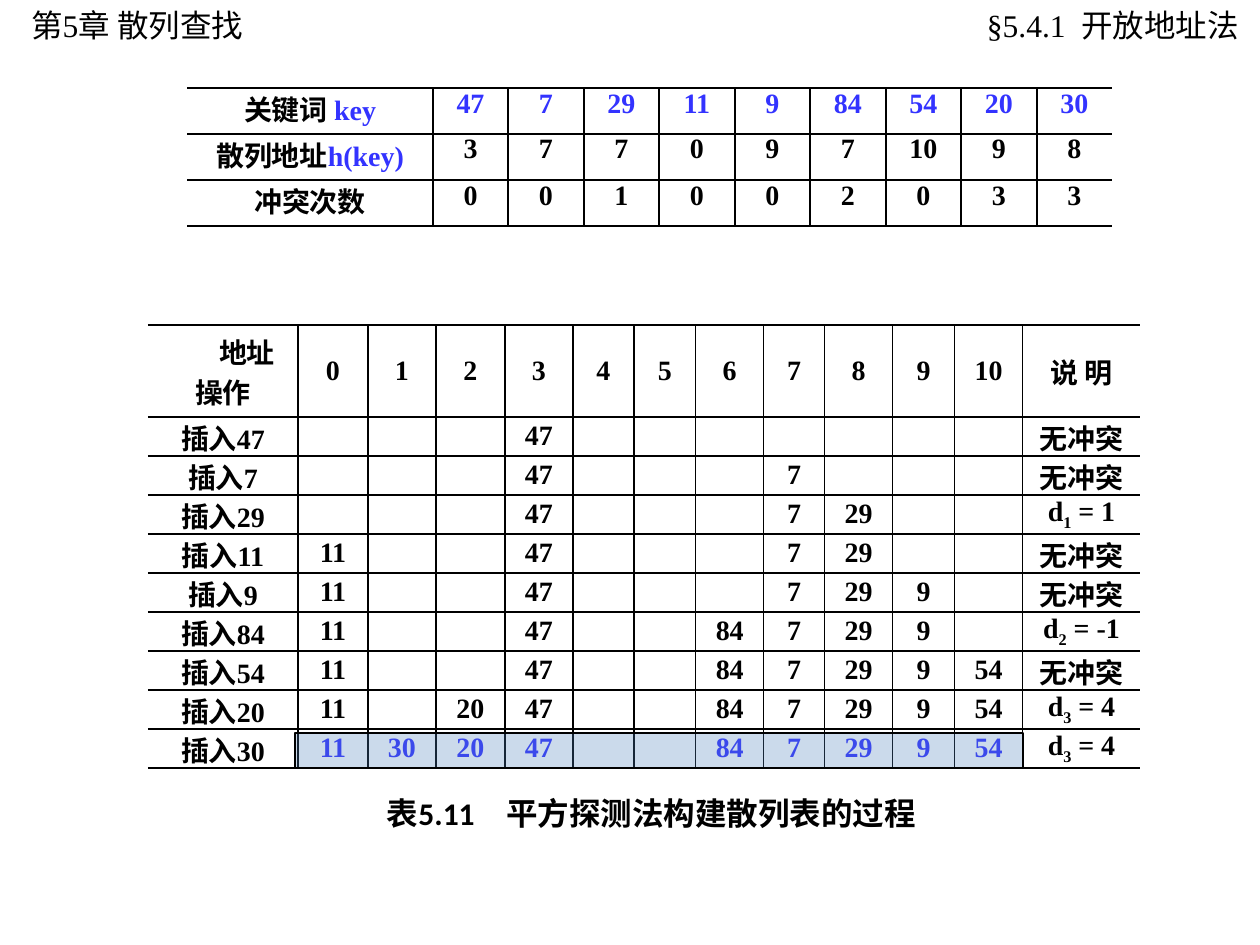
from lxml import etree
from pptx import Presentation
from pptx.dml.color import RGBColor
from pptx.enum.shapes import MSO_SHAPE
from pptx.enum.text import MSO_ANCHOR, PP_ALIGN
from pptx.oxml.ns import qn
from pptx.util import Emu, Pt

PX_PER_INCH = 126
SERIF, SANS = "Times New Roman", "Calibri"
BLACK, BLUE, STEEL = "000000", "3333FF", "4F81BD"
LEFT, CENTER, RIGHT = PP_ALIGN.LEFT, PP_ALIGN.CENTER, PP_ALIGN.RIGHT
TOP, MIDDLE = MSO_ANCHOR.TOP, MSO_ANCHOR.MIDDLE
RECTANGLE = MSO_SHAPE.RECTANGLE

KEYS = [47, 7, 29, 11, 9, 84, 54, 20, 30]
HASHES = [3, 7, 7, 0, 9, 7, 10, 9, 8]
COLLISIONS = [0, 0, 1, 0, 0, 2, 0, 3, 3]
SLOTS = [3, 7, 8, 0, 9, 6, 10, 2, 1]
# Probe used by each insertion: (subscript, offset), or None without a collision
PROBES = [None, None, (1, 1), None, None, (2, -1), None, (3, 4), (3, 4)]


def px(n):
    return Emu(round(n * 914400 / PX_PER_INCH))


def rgb(color):
    return RGBColor.from_string(color)


def add_text(p, text, size=16, font=SERIF, color=BLACK, bold=True, align=CENTER,
             subscript=False):
    p.alignment = align
    r = p.add_run()
    r.text = str(text)
    f = r.font
    f.size, f.name, f.bold = Pt(size), font, bold
    f.color.rgb = rgb(color)
    if subscript:
        r._r.get_or_add_rPr().set("baseline", "-25000")


def add_label(slide, box, text, margins=(13, 6, 13, 6), **fmt):
    tf = slide.shapes.add_textbox(*map(px, box)).text_frame
    tf.word_wrap = True
    (tf.margin_left, tf.margin_top,
     tf.margin_right, tf.margin_bottom) = map(px, margins)
    add_text(tf.paragraphs[0], text, size=18, **fmt)


def set_borders(cell, sides):
    tcPr = cell._tc.get_or_add_tcPr()
    for i, side in enumerate("LRTB"):
        ln = etree.Element(qn(f"a:ln{side}"), w=str(Pt(1)))
        if side in sides:
            fill = etree.SubElement(ln, qn("a:solidFill"))
            etree.SubElement(fill, qn("a:srgbClr"), val=BLACK)
        else:
            etree.SubElement(ln, qn("a:noFill"))
        tcPr.insert(i, ln)


def add_grid(slide, x, y, widths, heights, anchor):
    """Add an empty table with inner rules and open left and right sides."""
    frame = slide.shapes.add_table(len(heights), len(widths), px(x), px(y),
                                   px(sum(widths)), px(sum(heights)))
    table = frame.table
    table.first_row = table.horz_banding = False
    for column, width in zip(table.columns, widths):
        column.width = px(width)
    for row, height in zip(table.rows, heights):
        row.height = px(height)
        for c, cell in enumerate(row.cells):
            cell.fill.background()
            cell.vertical_anchor = anchor
            cell.margin_left = cell.margin_right = px(9)
            cell.margin_top = cell.margin_bottom = 0
            set_borders(cell, "TB" + "L" * (c > 0) + "R" * (c < len(widths) - 1))
            end = cell.text_frame.paragraphs[0]._p.get_or_add_endParaRPr()
            end.set("sz", "1600")
    return table


def fill_cell(table, row, col, *runs, **fmt):
    """Write runs, each a text or a (text, format) pair, into one cell."""
    p = table.cell(row, col).text_frame.paragraphs[0]
    for run in runs:
        text, own = run if isinstance(run, tuple) else (run, {})
        add_text(p, text, **{**fmt, **own})


def add_key_tables(slide, x, y):
    widths = [246] + [75 + i % 2 for i in range(len(KEYS))]
    height = 46
    keys = add_grid(slide, x, y, widths, [height] * 3, TOP)
    counts = add_grid(slide, x, y + 2 * height, widths, [height], TOP)
    blue = {"color": BLUE}
    fill_cell(keys, 0, 0, "关键词 ", ("key", blue))
    fill_cell(keys, 1, 0, "散列地址", ("h(key)", blue))
    fill_cell(counts, 0, 0, "冲突次数")
    for col, (key, address, count) in enumerate(zip(KEYS, HASHES, COLLISIONS), 1):
        fill_cell(keys, 0, col, key, **blue)
        fill_cell(keys, 1, col, address)
        fill_cell(counts, 0, col, count)


def add_process_table(slide, x, y):
    widths = [150, 70, 68, 69, 68, 61, 62, 68, 61, 68, 62, 68, 118]
    head, step = 92, 39
    table = add_grid(slide, x, y, widths, [head] + [step] * len(KEYS), MIDDLE)
    last_col = len(widths) - 1

    fill_cell(table, 0, 0, "地址")
    tf = table.cell(0, 0).text_frame
    tf.paragraphs[0]._p.get_or_add_pPr().set("indent", str(px(48)))
    add_text(tf.add_paragraph(), "操作")
    for address in range(last_col - 1):
        fill_cell(table, 0, address + 1, address)
    fill_cell(table, 0, last_col, "说 明")

    stored = {}
    for row, (key, slot, probe) in enumerate(zip(KEYS, SLOTS, PROBES), 1):
        stored[slot] = key
        color = BLUE if row == len(KEYS) else BLACK
        fill_cell(table, row, 0, f"插入{key}")
        for address, value in stored.items():
            fill_cell(table, row, address + 1, value, color=color)
        if probe:
            index, offset = probe
            fill_cell(table, row, last_col, "d", (index, {"subscript": True}),
                      f" = {offset}")
        else:
            fill_cell(table, row, last_col, "无冲突")

    add_highlight(slide, (x + 147, y + 408, 728, 35))


def add_highlight(slide, box):
    sp = slide.shapes.add_shape(RECTANGLE, *map(px, box))
    sp.shadow.inherit = False
    sp.fill.solid()
    sp.fill.fore_color.rgb = rgb(STEEL)
    color = sp._element.spPr.find(qn("a:solidFill"))[0]
    etree.SubElement(color, qn("a:alpha"), val="29000")
    sp.line.color.rgb = rgb(BLACK)
    sp.line.width = Pt(0.75)


def main():
    prs = Presentation()
    prs.slide_width, prs.slide_height = px(1260), px(945)
    slide = prs.slides.add_slide(prs.slide_layouts[6])
    add_label(slide, (0, 0, 263, 50), "第5章 散列查找", margins=(13, 6, 20, 6),
              bold=False, align=RIGHT)
    add_label(slide, (374, 788, 557, 50), "表5.11\u3000平方探测法构建散列表的过程".replace("\u3000", "　"),
              font=SANS, align=LEFT)
    add_process_table(slide, 148, 325)
    add_key_tables(slide, 187, 88)
    add_label(slide, (828, 0, 431, 50), "§5.4.1  开放地址法", margins=(15, 6, 20, 6),
              bold=False, align=RIGHT)
    prs.save("out.pptx")


if __name__ == "__main__":
    main()
